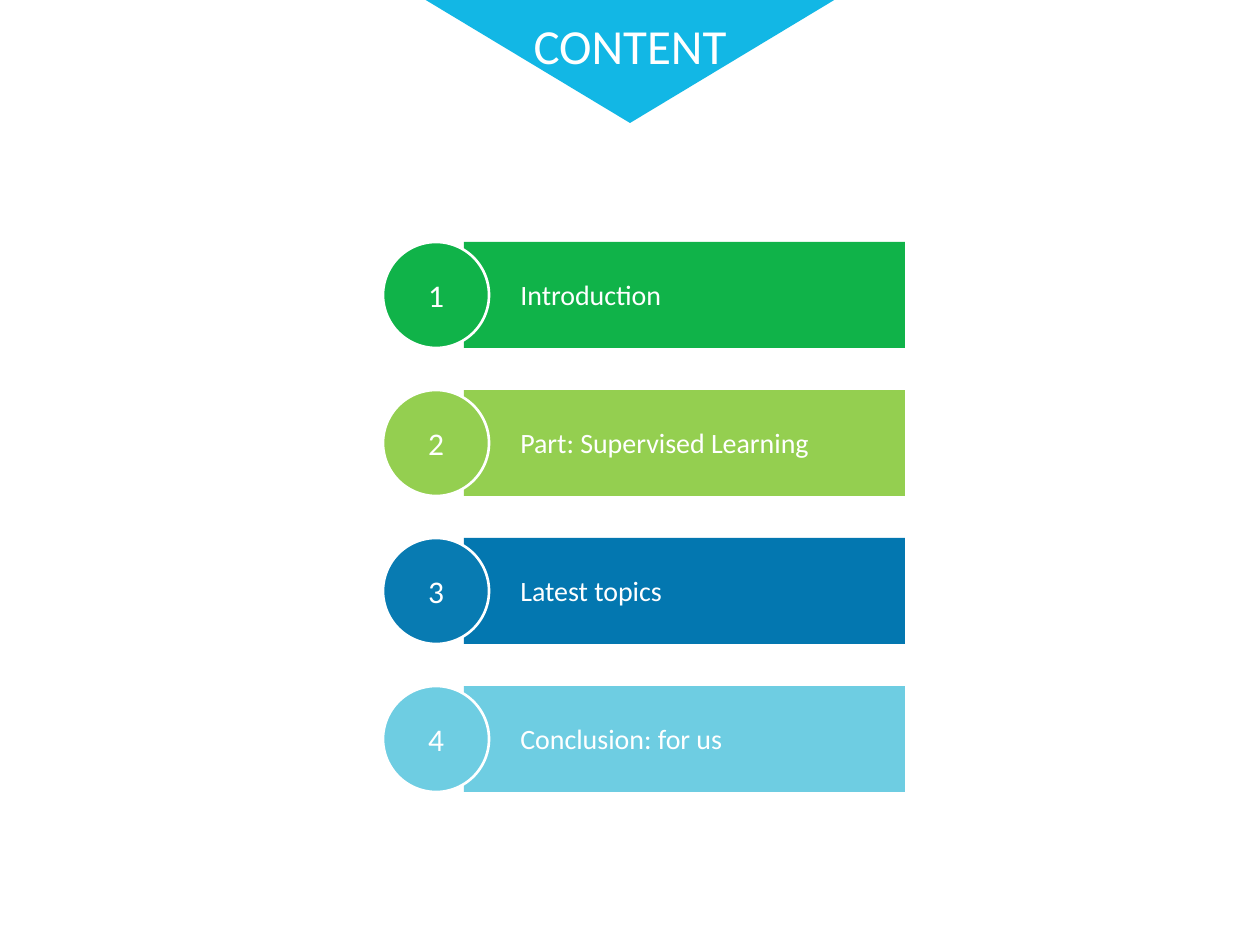
"""Build a contents slide with four numbered, coloured bars."""
from pptx import Presentation
from pptx import util as u
from pptx.dml.color import RGBColor
from pptx.enum import shapes, text

WHITE = RGBColor(0xFF, 0xFF, 0xFF)
SKY = RGBColor(0x12, 0xB7, 0xE5)
GREEN = RGBColor(0x10, 0xB3, 0x49)
LIME = RGBColor(0x94, 0xCF, 0x50)
BLUE = RGBColor(0x03, 0x77, 0xB0)
SOFT_BLUE = RGBColor(0x08, 0x7B, 0xB2)
AQUA = RGBColor(0x6E, 0xCD, 0xE2)

TITLE = "CONTENT"
TOPICS = [
    ("Introduction", GREEN, GREEN),
    ("Part: Supervised Learning", LIME, LIME),
    ("Latest topics", BLUE, SOFT_BLUE),
    ("Conclusion: for us", AQUA, AQUA),
]

PX = u.Inches(1) // 126
FIRST_TOP, PITCH, BAR_HEIGHT = 242, 148, 106
BAR_LEFT, BAR_WIDTH = 464, 441
CIRCLE_LEFT = 383
LABEL_LEFT, LABEL_WIDTH, LABEL_HEIGHT, LABEL_DROP = 508, 340, 47, 29


def scale(*lengths):
    return [length * PX for length in lengths]


def write(shape, words, size=16, align=text.PP_ALIGN.LEFT, anchor=text.MSO_ANCHOR.TOP):
    frame = shape.text_frame
    frame.word_wrap = True
    frame.vertical_anchor = anchor
    paragraph = frame.paragraphs[0]
    paragraph.text = words
    paragraph.alignment = align
    paragraph.font.name = "Calibri"
    paragraph.font.size = u.Pt(size)
    paragraph.font.color.rgb = WHITE


def add_filled(slide, kind, box, fill, outlined=False):
    shape = slide.shapes.add_shape(kind, *scale(*box))
    shape.shadow.inherit = False
    shape.fill.solid()
    shape.fill.fore_color.rgb = fill
    if outlined:
        shape.line.color.rgb = WHITE
        shape.line.width = u.Pt(1.5)
    else:
        shape.line.fill.background()
    return shape


def add_label(slide, box, words, **style):
    write(slide.shapes.add_textbox(*scale(*box)), words, **style)


def main():
    presentation = Presentation()
    presentation.slide_width, presentation.slide_height = scale(1260, 945)
    slide = presentation.slides.add_slide(presentation.slide_layouts[6])
    kinds = shapes.MSO_SHAPE

    banner = add_filled(slide, kinds.ISOSCELES_TRIANGLE, (424, -1, 412, 124), SKY)
    banner.rotation = 180

    for index, (topic, bar_color, circle_color) in enumerate(TOPICS):
        top = FIRST_TOP + index * PITCH
        add_filled(slide, kinds.RECTANGLE, (BAR_LEFT, top, BAR_WIDTH, BAR_HEIGHT), bar_color)
        circle = add_filled(slide, kinds.OVAL, (CIRCLE_LEFT, top, BAR_HEIGHT, BAR_HEIGHT),
                            circle_color, outlined=True)
        write(circle, str(index + 1), size=18, align=text.PP_ALIGN.CENTER,
              anchor=text.MSO_ANCHOR.MIDDLE)
        add_label(slide, (LABEL_LEFT, top + LABEL_DROP, LABEL_WIDTH, LABEL_HEIGHT), topic)

    add_label(slide, (514, 9, 232, 72), TITLE, size=28, align=text.PP_ALIGN.CENTER)
    presentation.save("out.pptx")


if __name__ == "__main__":
    main()
